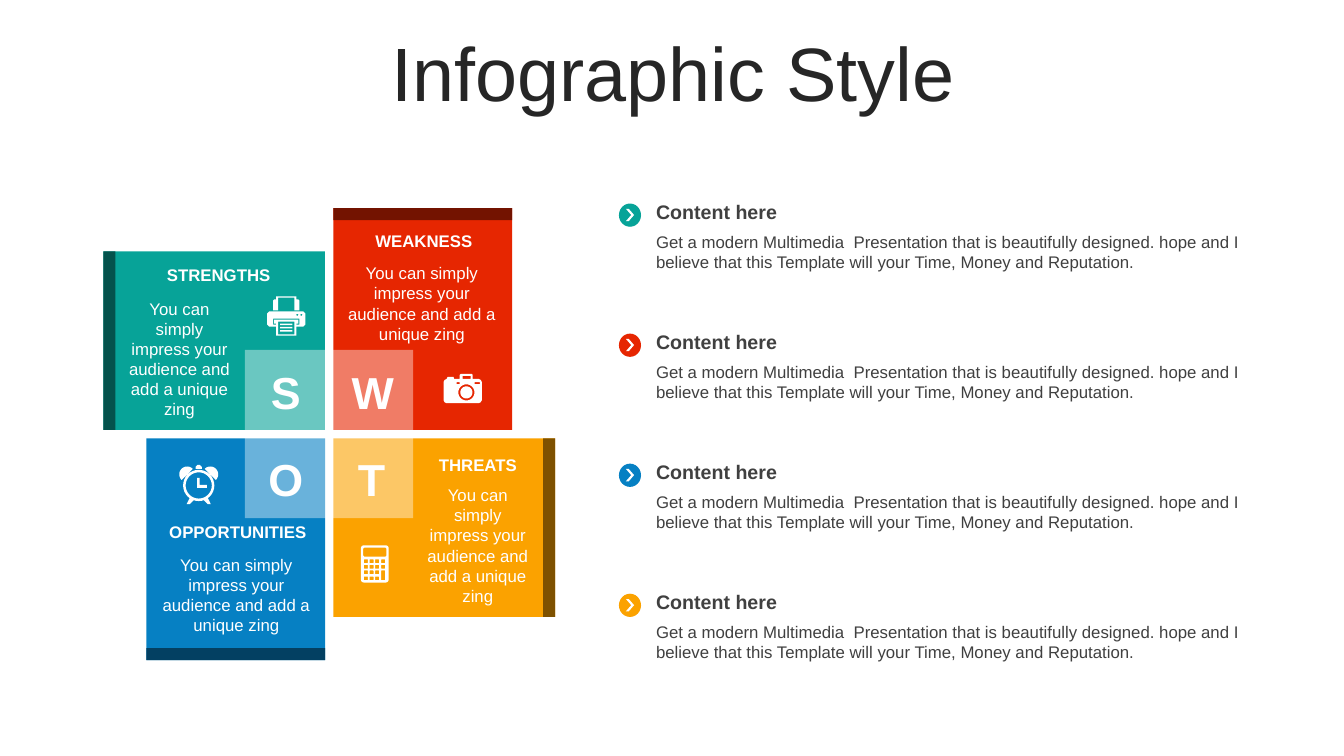
from math import cos, radians, sin

from lxml.etree import SubElement
from pptx import Presentation
from pptx.dml.color import RGBColor
from pptx.enum.shapes import MSO_SHAPE as SHAPE
from pptx.enum.text import MSO_ANCHOR as ANCHOR, PP_ALIGN as ALIGN
from pptx.oxml.ns import qn
from pptx.util import Pt

COLORS = {
    "white": "FFFFFF", "title": "262626", "text": "404040",
    "teal": "07A398", "teal_dark": "04524C",
    "red": "E62601", "red_dark": "731300",
    "blue": "0680C3", "blue_dark": "034062",
    "orange": "FBA200", "orange_dark": "7E5100",
}
CENTER_X, CENTER_Y = 235.2, 310.1
HALF_GAP = 3
LONG, SHORT, EDGE = 158.4, 127.6, 8.6
ICON_UNIT = 0.72
ITEM_PITCH = 92.9

PANEL_TEXT = "You can simply impress your audience and add a unique zing"
ITEM_TITLE = "Content here"
ITEM_TEXT = ("Get a modern Multimedia  Presentation that is beautifully designed. hope and "
             "I believe that this Template will your Time, Money and Reputation.")

# color, side x, side y, lies flat, heading, heading box, text box
PANELS = [
    ("teal", -1, -1, True, "STRENGTHS", (82.1, 185.8, 148.3, 21.8), (82.1, 209.5, 92.2, 94.3)),
    ("red", 1, -1, False, "WEAKNESS", (244.1, 161.3, 117.4, 21.8), (239.8, 184.3, 123.1, 65.5)),
    ("blue", -1, 1, False, "OPPORTUNITIES", (108.7, 369.4, 122.4, 21.8), (107.3, 392.4, 123.1, 65.5)),
    ("orange", 1, 1, True, "THREATS", (295.2, 321.1, 92.2, 21.8), (295.2, 342.7, 92.2, 94.3)),
]


def rgb(color):
    return RGBColor.from_string(COLORS[color])


def paint(shape, color):
    shape.shadow.inherit = False
    shape.fill.solid()
    shape.fill.fore_color.rgb = rgb(color)
    shape.line.fill.background()
    return shape


def add_block(slide, kind, box, color):
    return paint(slide.shapes.add_shape(kind, *map(Pt, box)), color)


def add_text(slide, text, box, size=12, color="white", bold=False,
             align=ALIGN.CENTER, anchor=ANCHOR.TOP, line_spacing=None):
    frame = slide.shapes.add_textbox(*map(Pt, box)).text_frame
    frame.word_wrap = True
    frame.vertical_anchor = anchor
    paragraph = frame.paragraphs[0]
    paragraph.alignment = align
    paragraph.line_spacing = line_spacing
    run = paragraph.add_run()
    run.text = text
    run.font.name = "Arial"
    run.font.size = Pt(size)
    run.font.bold = bold
    run.font.color.rgb = rgb(color)


# Icon outlines, in icon units; overlapping outlines cut holes
def arc(x, y, radius, start=0, end=360, steps=32):
    angles = [radians(start + (end - start) * i / steps) for i in range(steps + 1)]
    return [(x + radius * cos(a), y + radius * sin(a)) for a in angles]


def rectangle(left, top, width, height, radius=0):
    right, bottom = left + width, top + height
    if not radius:
        return [(left, top), (right, top), (right, bottom), (left, bottom)]
    corners = [(right - radius, bottom - radius), (left + radius, bottom - radius),
               (left + radius, top + radius), (right - radius, top + radius)]
    return [point for i, (x, y) in enumerate(corners)
            for point in arc(x, y, radius, 90 * i, 90 * i + 90, 6)]


def mirror(points, axis):
    return [(2 * axis - x, y) for x, y in points]


def clock():
    ear = arc(8.5, 9.5, 7.8, 135, 315)
    leg = [(11, 33), (15, 35), (11, 39), (8, 39)]
    return [arc(20, 20.5, 15.5), arc(20, 20.5, 13),
            [(18.5, 13), (21, 13), (21, 20), (28, 20), (28, 23), (18.5, 23)],
            [(17, 4), (17, 2), (19, 0), (21, 0), (23, 2), (23, 4)],
            ear, mirror(ear, 20), leg, mirror(leg, 20)]


def calculator():
    columns, rows = (3, 8.5, 14, 20), (14, 19.5, 25, 31)
    keys = [rectangle(x, y, 4, 3.7, 0.5) for x in columns for y in rows
            if x < columns[3] or y < rows[2]]
    return [rectangle(0, 0, 27.5, 37, 3), rectangle(2.3, 2.3, 23, 9, 1.5),
            rectangle(columns[3], rows[2], 4, 9.7, 0.5)] + keys


def printer():
    body = [(2, 15), (36, 15), (38, 17), (38, 28), (36, 30), (29, 30), (29, 39),
            (9, 39), (9, 30), (2, 30), (0, 28), (0, 17)]
    slot = [(6, 22), (32, 22), (32, 28), (29, 28), (29, 27), (31, 27), (31, 23),
            (7, 23), (7, 27), (9, 27), (9, 28), (6, 28)]
    sheet = [(9, 0), (29, 0), (29, 3), (31, 3), (32, 4), (32, 14), (27, 14),
             (27, 1.3), (11, 1.3), (11, 14), (6, 14), (6, 4), (7, 3), (9, 3)]
    lines = [rectangle(13, y, 12, 1.5) for y in (27, 30.3, 33.6)]
    return [body, slot, sheet, rectangle(11, 25, 16, 12.7),
            arc(30, 18.3, 1), arc(34, 18.3, 1)] + lines


def camera():
    body = [(3, 5), (4, 3), (10, 3), (10.5, 5), (16, 5), (16, 1), (17, 0), (28, 0),
            (29, 1), (29, 5), (35, 5), (37, 6), (38, 8), (38, 26), (37, 28), (35, 29),
            (3, 29), (1, 28), (0, 26), (0, 8), (1, 6)]
    return [body, arc(22.7, 18.3, 8), arc(22.7, 18.3, 6), rectangle(13, 8, 3, 2),
            rectangle(31, 8, 5, 2), rectangle(19, 2, 8, 3)]


def add_icon(slide, left, top, outlines):
    builder = None
    for outline in outlines:
        first, *rest = [(Pt(left + x * ICON_UNIT), Pt(top + y * ICON_UNIT)) for x, y in outline]
        if builder is None:
            builder = slide.shapes.build_freeform(*first, scale=1.0)
        else:
            builder.move_to(*first)
        builder.add_line_segments(rest, close=True)
    paint(builder.convert_to_shape(), "white")


def add_panel(slide, color, side_x, side_y, flat):
    width, height = (LONG, SHORT) if flat else (SHORT, LONG)
    left = CENTER_X + HALF_GAP if side_x > 0 else CENTER_X - HALF_GAP - width
    top = CENTER_Y + HALF_GAP if side_y > 0 else CENTER_Y - HALF_GAP - height
    add_block(slide, SHAPE.RECTANGLE, (left, top, width, height), color)
    # Dark edge at the outer end
    if flat:
        edge = (left + width - EDGE if side_x > 0 else left, top, EDGE, height)
    else:
        edge = (left, top + height - EDGE if side_y > 0 else top, width, EDGE)
    add_block(slide, SHAPE.RECTANGLE, edge, color + "_dark")


def add_item(slide, top, color):
    add_block(slide, SHAPE.OVAL, (442.1, top + 6.4, 15.8, 16.6), color)
    chevron = add_block(slide, SHAPE.CHEVRON, (447.1, top + 10.2, 5.8, 8.8), "white")
    chevron.adjustments[0] = 0.65
    add_text(slide, ITEM_TITLE, (461.5, top, 433.4, 24.5), size=14, color="text",
             bold=True, align=ALIGN.LEFT, anchor=ANCHOR.MIDDLE)
    add_text(slide, ITEM_TEXT, (461.5, top + 23, 433.4, 36), color="text", align=ALIGN.LEFT)


def main():
    presentation = Presentation()
    presentation.slide_width, presentation.slide_height = Pt(960), Pt(540)
    slide = presentation.slides.add_slide(presentation.slide_layouts[6])
    add_text(slide, "Infographic Style", (25.2, 26.6, 911.5, 56.9), size=54,
             color="title", anchor=ANCHOR.MIDDLE, line_spacing=0.9)

    # Panels and the pale square over their meeting corners
    for color, side_x, side_y, flat, *_ in PANELS:
        add_panel(slide, color, side_x, side_y, flat)
    square = add_block(slide, SHAPE.RECTANGLE, (175, 249.9, 120.2, 120.2), "white")
    fill_color = square._element.spPr.find(".//" + qn("a:srgbClr"))
    SubElement(fill_color, qn("a:alpha"), val="40000")

    # Letters and panel texts
    for i, letter in enumerate("SWOT"):
        add_text(slide, letter, (182.9 + i % 2 * 61.2, 257 + i // 2 * 61.9, 42.5, 46),
                 size=32, bold=True)
    for *_, heading, heading_box, text_box in PANELS:
        add_text(slide, heading, heading_box, bold=True)
        add_text(slide, PANEL_TEXT, text_box)

    # Icons
    add_icon(slide, 127.6, 332, clock())
    add_icon(slide, 257.8, 389.5, calculator())
    add_icon(slide, 190.8, 211.7, printer())
    add_icon(slide, 316.8, 267.1, camera())

    # Content list
    for i, (color, *_) in enumerate(PANELS):
        add_item(slide, 139 + i * ITEM_PITCH, color)
    presentation.save("out.pptx")


if __name__ == "__main__":
    main()
